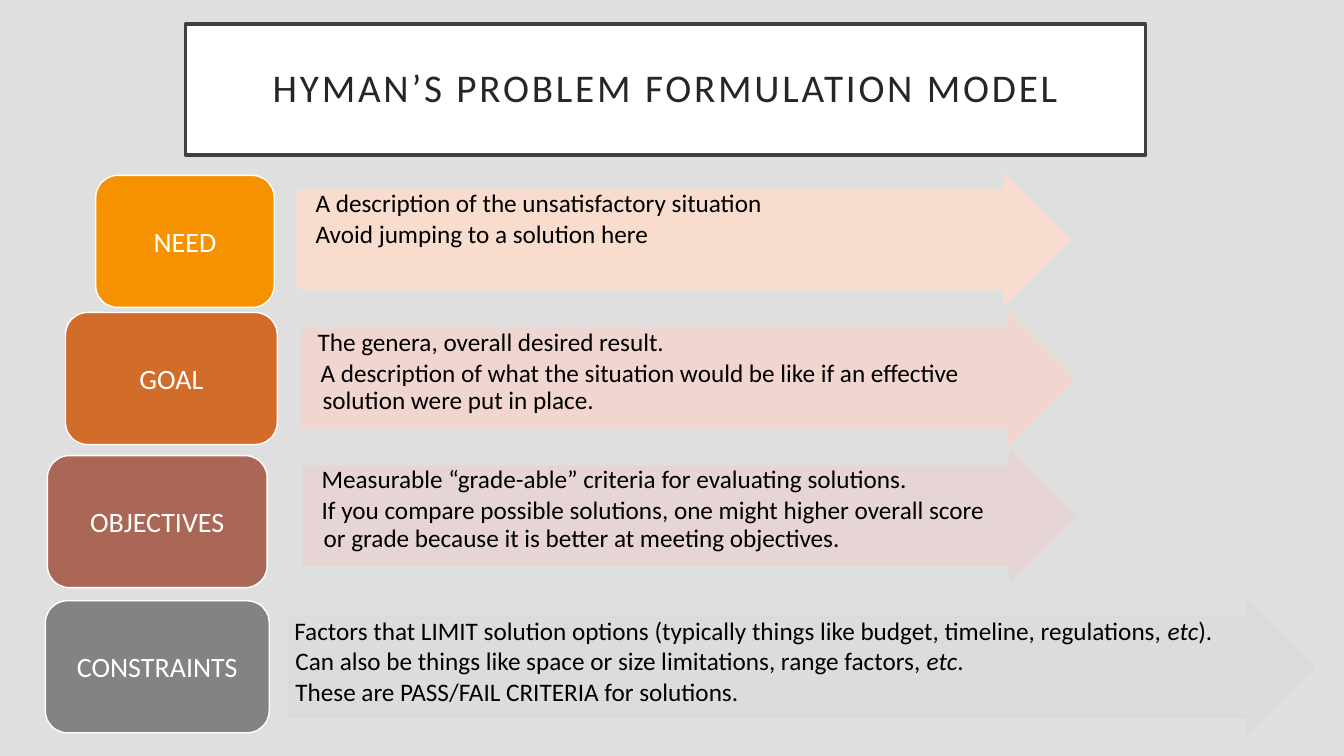
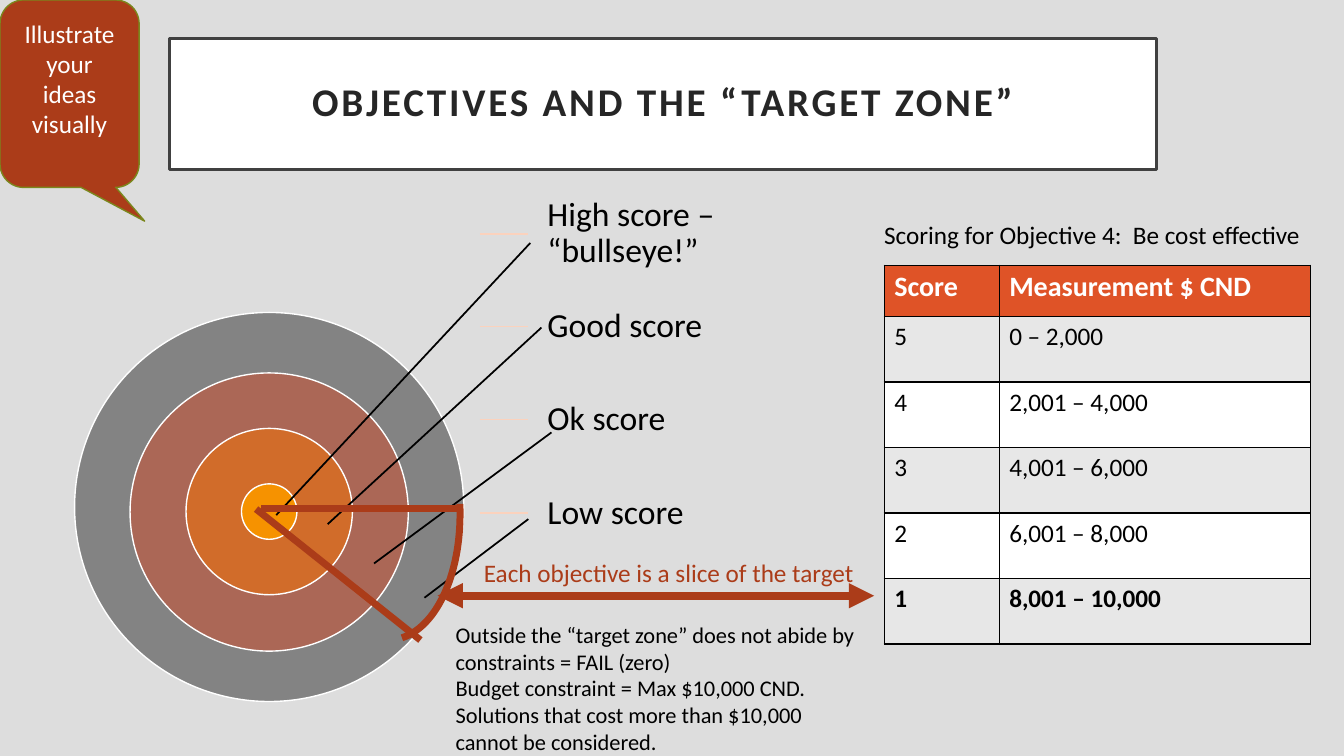
from pptx import Presentation
from pptx.dml.color import RGBColor
from pptx.enum.shapes import MSO_CONNECTOR, MSO_SHAPE
from pptx.enum.text import MSO_ANCHOR, MSO_AUTO_SIZE, PP_ALIGN
from pptx.oxml.ns import qn
from pptx.util import Pt
from lxml import etree

PX = 9144  # 100 px to the inch
FONT = "Calibri"

BLACK = RGBColor(0x00, 0x00, 0x00)
WHITE = RGBColor(0xFF, 0xFF, 0xFF)
INK = RGBColor(0x26, 0x26, 0x26)
FRAME = RGBColor(0x40, 0x40, 0x40)
BACK_MODEL = RGBColor(0xDF, 0xDF, 0xDF)
BACK_TARGET = RGBColor(0xDD, 0xDD, 0xDD)
AMBER = RGBColor(0xF6, 0x92, 0x00)
ORANGE = RGBColor(0xD1, 0x6C, 0x2A)
CLAY = RGBColor(0xAB, 0x67, 0x56)
GRAY = RGBColor(0x83, 0x83, 0x83)
PALE_AMBER = RGBColor(0xFB, 0xDC, 0xCC)
PALE_ORANGE = RGBColor(0xF2, 0xD6, 0xCE)
PALE_CLAY = RGBColor(0xE7, 0xD5, 0xD3)
PALE_GRAY = RGBColor(0xD9, 0xD9, 0xD9)
TICK = RGBColor(0xFB, 0xD2, 0xBD)
RUST = RGBColor(0xAB, 0x3C, 0x19)
OLIVE = RGBColor(0x7B, 0x87, 0x1D)
HEADER = RGBColor(0xDF, 0x53, 0x27)
BAND = RGBColor(0xE7, 0xE7, 0xE7)

RECT_ROUND = MSO_SHAPE.ROUNDED_RECTANGLE
ARROW = MSO_SHAPE.RIGHT_ARROW
OVAL = MSO_SHAPE.OVAL
ARC = MSO_SHAPE.ARC
CALLOUT = MSO_SHAPE.ROUNDED_RECTANGULAR_CALLOUT
STRAIGHT = MSO_CONNECTOR.STRAIGHT
TOP, MIDDLE = MSO_ANCHOR.TOP, MSO_ANCHOR.MIDDLE
LEFT, CENTER = PP_ALIGN.LEFT, PP_ALIGN.CENTER
NO_FIT = MSO_AUTO_SIZE.NONE

# label, label box, label colour, arrow box, arrow colour, fill opacity,
# then paragraphs as (left margin, first-line indent, text); *...* is italic
MODEL_ROWS = [
    ("NEED", (95, 174, 177, 131), AMBER, (295, 172, 766, 131), PALE_AMBER, 90,
     [(19, -2, "A description of the unsatisfactory situation"),
      (19, -2, "Avoid jumping to a solution here")]),
    ("GOAL", (65, 310, 210, 131), ORANGE, (300, 310, 766, 131), PALE_ORANGE, 90,
     [(14, 0, "The genera, overall desired result."),
      (19, -2, "A description of what the situation would be like if an "
               "effective solution were put in place.")]),
    ("OBJECTIVES", (47, 452, 218, 131), CLAY, (301, 446, 766, 131), PALE_CLAY, 90,
     [(19, -2, "Measurable “grade-able” criteria for evaluating solutions."),
      (19, -2, "If you compare possible solutions, one might higher overall score "
               "or grade because it is better at meeting objectives.")]),
    ("CONSTRAINTS", (45, 596, 222, 131), GRAY, (287, 596, 1016, 131), PALE_GRAY, 35,
     [(4, 0, "Factors that LIMIT solution options (typically things like budget, "
             "timeline, regulations, *etc*)."),
      (5, 0, "Can also be things like space or size limitations, range factors, *etc*."),
      (5, 0, "These are PASS/FAIL CRITERIA for solutions.")]),
]

# diameter, top, colour
RINGS = [(386, 310, GRAY), (276, 370, CLAY), (165, 425, ORANGE), (55, 480, AMBER)]

# label, leader start, leader end
SCORES = [
    ("High score – “bullseye!”", (526, 241), (274, 511)),
    ("Good score", (537, 325), (325, 520)),
    ("Ok score", (547, 429), (371, 559)),
    ("Low score", (524, 515), (421, 593)),
]

SCORE_TABLE = [
    ("Score", "Measurement $ CND"),
    ("5", "0 – 2,000"),
    ("4", "2,001 – 4,000"),
    ("3", "4,001 – 6,000"),
    ("2", "6,001 – 8,000"),
    ("1", "8,001 – 10,000"),
]


def emu(lengths):
    return [round(v * PX) for v in lengths]


def add_run(p, text, size, color, bold=False, italic=False):
    r = p.add_run()
    r.text = text
    r.font.name = FONT
    r.font.size = Pt(size)
    r.font.color.rgb = color
    r.font.bold = bold
    r.font.italic = italic
    return r


def set_frame(tf, insets, anchor=TOP, wrap=True):
    tf.auto_size = NO_FIT
    tf.word_wrap = wrap
    tf.vertical_anchor = anchor
    (tf.margin_left, tf.margin_top,
     tf.margin_right, tf.margin_bottom) = emu(insets)


def set_alpha(fill_parent, percent):
    color = fill_parent.find(qn("a:solidFill"))[0]
    etree.SubElement(color, qn("a:alpha")).set("val", str(percent * 1000))


def add_shape(s, kind, box, fill, line, width=1):
    sp = s.shapes.add_shape(kind, *emu(box))
    sp.shadow.inherit = False
    if fill is None:
        sp.fill.background()
    else:
        sp.fill.solid()
        sp.fill.fore_color.rgb = fill
    sp.line.color.rgb = line
    sp.line.width = Pt(width)
    return sp


def add_line(s, start, end, color, width, arrows=False):
    c = s.shapes.add_connector(STRAIGHT, *emu(start + end))
    c.line.color.rgb = color
    c.line.width = Pt(width)
    if arrows:
        ln = c.line._get_or_add_ln()
        for tag in ("a:headEnd", "a:tailEnd"):
            etree.SubElement(ln, qn(tag)).set("type", "triangle")
    etree.SubElement(c._element.spPr, qn("a:effectLst"))


def add_text(s, box, texts, size, color=BLACK, insets=(10, 5, 10, 5),
             anchor=TOP, wrap=True, spacing=1.0):
    tf = s.shapes.add_textbox(*emu(box)).text_frame
    set_frame(tf, insets, anchor, wrap)
    for i, text in enumerate(texts):
        p = tf.add_paragraph() if i else tf.paragraphs[0]
        p.line_spacing = spacing
        add_run(p, text, size, color)


def new_slide(prs, back, title, box, bold=False):
    s = prs.slides.add_slide(prs.slide_layouts[5])
    s.background.fill.solid()
    s.background.fill.fore_color.rgb = back
    sp = s.shapes.title
    sp.left, sp.top, sp.width, sp.height = emu(box)
    sp.fill.solid()
    sp.fill.fore_color.rgb = WHITE
    sp.line.color.rgb = FRAME
    sp.line.width = Pt(2.5)
    set_frame(sp.text_frame, (20, 20, 20, 20), MIDDLE)
    p = sp.text_frame.paragraphs[0]
    p.alignment = CENTER
    p.line_spacing = 0.9
    r = add_run(p, title, 28, INK, bold)
    r.font._element.set("spc", "200")
    return s


def add_label(s, box, text, color):
    sp = add_shape(s, RECT_ROUND, box, color, WHITE)
    set_frame(sp.text_frame, (8, 4, 8, 4), MIDDLE)
    p = sp.text_frame.paragraphs[0]
    p.alignment = CENTER
    add_run(p, text, 20, WHITE)


def add_arrow(s, box, color, opacity, paragraphs):
    sp = add_shape(s, ARROW, box, color, color)
    sp.adjustments[0], sp.adjustments[1] = 0.75, 0.5
    set_alpha(sp._element.spPr, opacity)
    set_alpha(sp.line._get_or_add_ln(), 90)
    tf = sp.text_frame
    set_frame(tf, (1, 1, 34, 1))
    for i, (margin, indent, text) in enumerate(paragraphs):
        p = tf.add_paragraph() if i else tf.paragraphs[0]
        p.alignment = LEFT
        p.line_spacing = 0.9
        p.space_after = Pt(2.7)
        pPr = p._p.get_or_add_pPr()
        pPr.set("marL", str(margin * PX))
        pPr.set("indent", str(indent * PX))
        for j, part in enumerate(text.split("*")):
            add_run(p, part, 18, BLACK, italic=j % 2 == 1)


def add_target(s, center_x):
    for diameter, top, color in RINGS:
        add_shape(s, OVAL, (center_x - diameter / 2, top, diameter, diameter),
                  color, WHITE)


def add_scores(s, x, y):
    for i, (text, start, end) in enumerate(SCORES):
        top = y + i * 277 // 3
        add_text(s, (x, top, 193, 92), [text], 24, insets=(19, 3, 3, 3),
                 anchor=MIDDLE, spacing=0.9)
        add_line(s, (x - 48, top + 46), (x, top + 46), TICK, 1)
        add_line(s, start, end, BLACK, 1.25)


def add_slice(s):
    """Outline one sector of the target."""
    add_line(s, (259, 504), (455, 504), RUST, 5)
    add_line(s, (254, 505), (417, 635), RUST, 5)
    arc = add_shape(s, ARC, (303, 363, 153, 272), None, RUST, 5)
    arc.adjustments[0], arc.adjustments[1] = 164.74, 213.44
    arc.rotation = 176.4
    arc._element.spPr.find(qn("a:xfrm")).set("flipH", "1")


def set_borders(cell):
    tcPr = cell._tc.get_or_add_tcPr()
    for i, side in enumerate(("a:lnL", "a:lnR", "a:lnT", "a:lnB")):
        ln = etree.Element(qn(side), w=str(Pt(1)))
        fill = etree.SubElement(ln, qn("a:solidFill"))
        etree.SubElement(fill, qn("a:srgbClr")).set("val", str(BLACK))
        tcPr.insert(i, ln)


def add_score_table(s, x, y):
    last = len(SCORE_TABLE) - 1
    table = s.shapes.add_table(last + 1, 2, *emu((x, y, 423, 376))).table
    table.horz_banding = False
    for col, width in zip(table.columns, emu((114, 309))):
        col.width = width
    for i, values in enumerate(SCORE_TABLE):
        table.rows[i].height = (65 if i else 51) * PX
        for j, text in enumerate(values):
            cell = table.cell(i, j)
            cell.fill.solid()
            cell.fill.fore_color.rgb = (BAND if i % 2 else WHITE) if i else HEADER
            set_borders(cell)
            add_run(cell.text_frame.paragraphs[0], text, 18 if i else 20,
                    BLACK if i else WHITE, bold=i in (0, last))


def add_callout(s, box, text):
    sp = add_shape(s, CALLOUT, box, RUST, OLIVE)
    for i, value in enumerate((0.54, 0.68, 0.17)):
        sp.adjustments[i] = value
    set_frame(sp.text_frame, (10, 5, 10, 35), MIDDLE)
    p = sp.text_frame.paragraphs[0]
    p.alignment = CENTER
    add_run(p, text, 18, WHITE)


def model_slide(prs):
    s = new_slide(prs, BACK_MODEL, "HYMAN’S PROBLEM FORMULATION MODEL",
                  (184, 24, 952, 130))
    for label, label_box, color, arrow_box, pale, opacity, paragraphs in MODEL_ROWS:
        add_arrow(s, arrow_box, pale, opacity, paragraphs)
        add_label(s, label_box, label, color)


def target_slide(prs):
    s = new_slide(prs, BACK_TARGET, "OBJECTIVES AND THE “TARGET ZONE”",
                  (168, 38, 979, 130), bold=True)
    add_target(s, 267)
    add_scores(s, 524, 186)
    add_text(s, (442, 611, 417, 145), [
        "Outside the “target zone” does not abide by constraints = FAIL (zero)",
        "Budget constraint = Max $10,000 CND. Solutions that cost more than "
        "$10,000 cannot be considered."], 16)
    add_text(s, (867, 213, 443, 40),
             ["Scoring for Objective 4:  Be cost effective"], 18, wrap=False)
    add_score_table(s, 877, 263)
    add_callout(s, (0, 0, 138, 186), "Illustrate your ideas visually")
    add_line(s, (434, 591), (867, 591), RUST, 6, arrows=True)
    add_text(s, (470, 548, 392, 40),
             ["Each objective is a slice of the target"], 18, RUST, wrap=False)
    add_slice(s)


def main():
    prs = Presentation()
    prs.slide_width, prs.slide_height = emu((1333, 750))
    model_slide(prs)
    target_slide(prs)
    prs.save("out.pptx")


if __name__ == "__main__":
    main()
